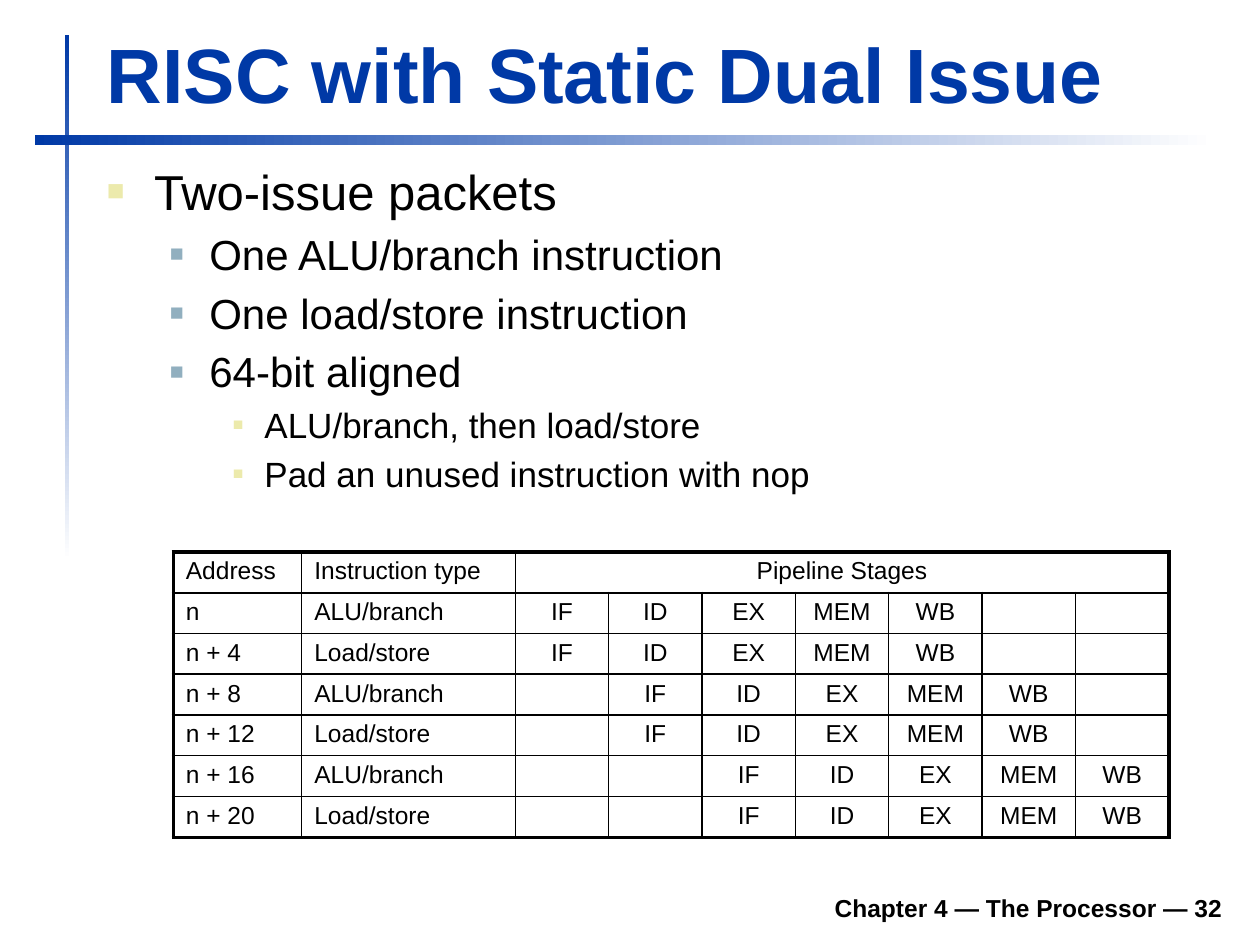
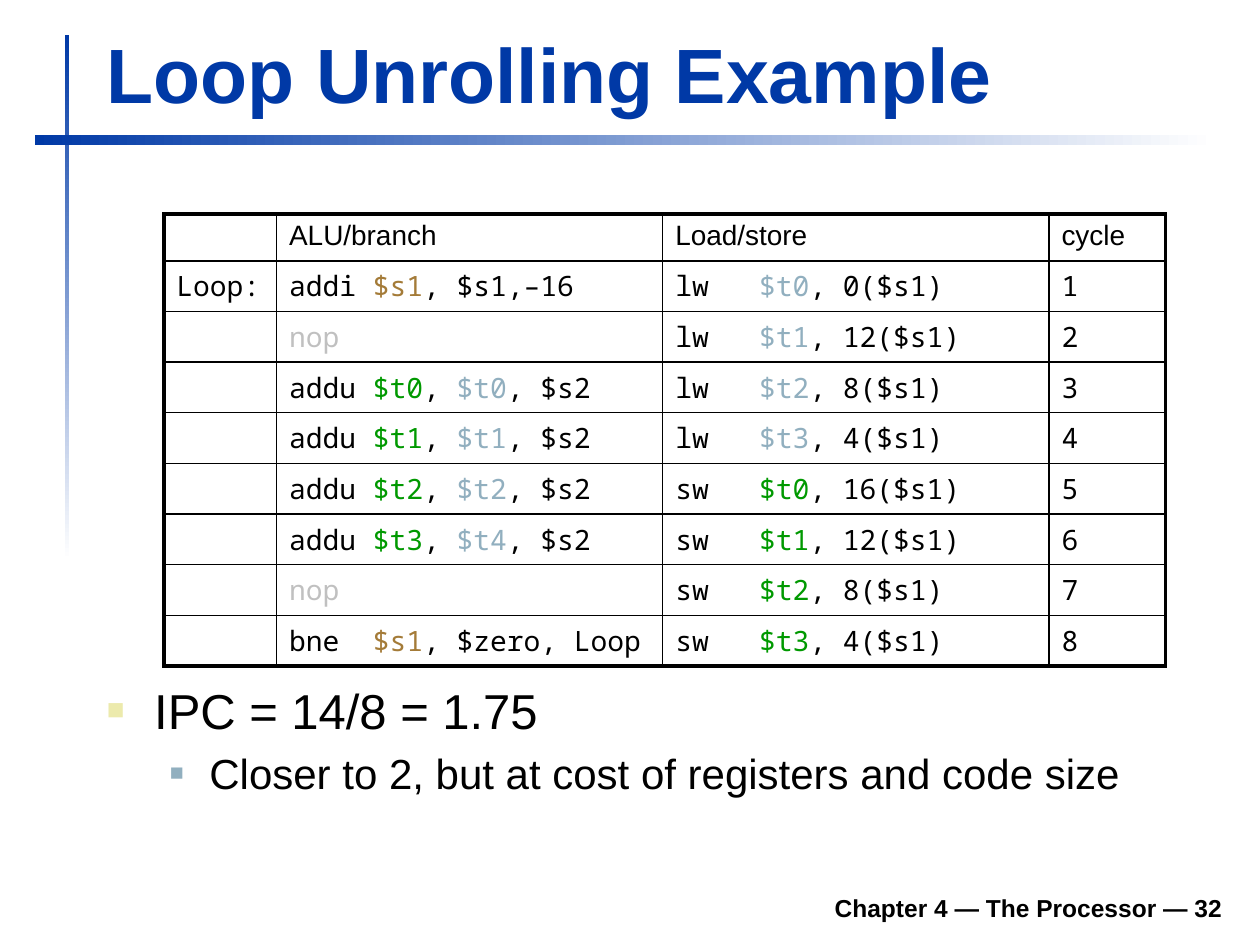
from dataclasses import dataclass
from lxml.etree import SubElement
from pptx import Presentation
from pptx.dml.color import RGBColor
from pptx.enum.shapes import MSO_SHAPE as SHAPE
from pptx.enum.text import MSO_ANCHOR as ANCHOR, PP_ALIGN as ALIGN
from pptx.oxml.ns import qn
from pptx.util import Inches, Pt


@dataclass(frozen=True)
class Theme:
    blue: str = "0039A6"
    white: str = "FFFFFF"
    ink: str = "000000"
    sand: str = "ECEAAC"
    steel: str = "91AFBF"
    green: str = "009900"
    ochre: str = "A47B38"
    grey: str = "C0C0C0"
    sans: str = "Arial"
    mono: str = "Noto Sans Mono"
    title: int = 44
    footer: int = 14
    outer: float = 2.25
    header: float = 1.5
    inner: float = 1


T = Theme()

# Content; a code part after "|" starts with the mark of its colour
MARKS = {"+": T.green, "<": T.steel, "!": T.ochre, "~": T.grey}
FOOTER = "Chapter 4 — The Processor — 32"
STAGES = ["IF", "ID", "EX", "MEM", "WB"]
STAGE_COUNT = 7

pipeline = [["Address", "Instruction type", "Pipeline Stages"] + [""] * (STAGE_COUNT - 1)]
for i in range(6):
    delay = i // 2
    pipeline.append(["n" if i == 0 else f"n + {4 * i}",
                     "Load/store" if i % 2 else "ALU/branch"]
                    + [""] * delay + STAGES + [""] * (STAGE_COUNT - 5 - delay))

unrolled = [
    ("addi |!$s1|, $s1,–16", "lw   |<$t0|, 0($s1)"),
    ("|~nop", "lw   |<$t1|, 12($s1)"),
    ("addu |+$t0|, |<$t0|, $s2", "lw   |<$t2|, 8($s1)"),
    ("addu |+$t1|, |<$t1|, $s2", "lw   |<$t3|, 4($s1)"),
    ("addu |+$t2|, |<$t2|, $s2", "sw   |+$t0|, 16($s1)"),
    ("addu |+$t3|, |<$t4|, $s2", "sw   |+$t1|, 12($s1)"),
    ("|~nop", "sw   |+$t2|, 8($s1)"),
    ("bne  |!$s1|, $zero, Loop", "sw   |+$t3|, 4($s1)"),
]
schedule = [["", "ALU/branch", "Load/store", "cycle"]] + [
    ["" if n > 1 else "Loop:", alu, mem, str(n)]
    for n, (alu, mem) in enumerate(unrolled, 1)]

SLIDES = [
    dict(title="RISC with Static Dual Issue", body_box=(7.5, 12.3, 90.5, 30.2),
         body=[(0, "Two-issue packets"),
               (1, "One ALU/branch instruction"),
               (1, "One load/store instruction"),
               (1, "64-bit aligned"),
               (2, "ALU/branch, then load/store"),
               (2, "Pad an unused instruction with nop")],
         table=dict(rows=pipeline, at=(13.75, 43.8), cols=[10.2, 16.95] + [7.41] * STAGE_COUNT,
                    heights=[3.19] * 7, size=14, font=T.sans, pad=0.45,
                    centred_from=2, merge=((0, 2), (0, 8)))),
    dict(title="Loop Unrolling Example", body_box=(7.5, 53.5, 90.5, 14.7),
         body=[(0, "IPC = 14/8 = 1.75"),
               (1, "Closer to 2, but at cost of registers and code size")],
         table=dict(rows=schedule, at=(13, 17), cols=[8.95, 30.65, 30.65, 9.25],
                    heights=[3.7] + [4.02] * 8, size=16, font=T.mono, pad=0.5,
                    centred_from=4, merge=None)),
]

# Outline levels: type size, indent, hanging part, bullet colour and percent
LEVELS = [(28, 3.75, 3.75, T.sand, 60), (24, 8.13, 3.13, T.steel, 55), (20, 12.5, 2.5, T.sand, 50)]

# Grid: 100 columns by 75 rows of square units
COLS, ROWS = 100, 75
UNIT = Inches(10) / COLS
VERTICAL_BAR, LEVEL_BAR = (5.15, 2.8, 0.36, 41.7), (2.75, 10.7, 93.7, 0.8)
TITLE_BOX, FOOTER_BOX = (7.5, 1.6, 90.3, 8.3), (18.5, 69.8, 79.5, 3.9)


def grid(*units):
    return [round(u * UNIT) for u in units]


def add(parent, tag, **attrs):
    return SubElement(parent, qn(tag), {k: str(v) for k, v in attrs.items()})


def add_color(parent, color):
    add(parent, "a:srgbClr", val=color)


def add_run(p, text, size, color=T.ink, font=T.sans, bold=False):
    r = p.add_run()
    r.text = text
    for name, value in dict(size=Pt(size), name=font, bold=bold).items():
        setattr(r.font, name, value)
    r.font.color.rgb = RGBColor.from_string(color)


def space_before(p):
    pPr = p._p.get_or_add_pPr()
    add(add(pPr, "a:spcBef"), "a:spcPct", val=20000)
    return pPr


def text_frame(s, box, anchor):
    tf = s.shapes.add_textbox(*grid(*box)).text_frame
    for name, value in dict(word_wrap=True, vertical_anchor=anchor).items():
        setattr(tf, name, value)
    return tf


def add_line(s, box, text, size, color, align):
    p = text_frame(s, box, ANCHOR.BOTTOM).paragraphs[0]
    p.alignment = align
    add_run(p, text, size, color, bold=True)


def add_bar(s, box, angle):
    sp = s.shapes.add_shape(SHAPE.RECTANGLE, *grid(*box))
    sp.shadow.inherit = False
    sp.line.fill.background()
    sp.fill.gradient()
    sp.fill.gradient_angle = angle
    for stop, color in zip(sp.fill.gradient_stops, (T.blue, T.white)):
        stop.color.rgb = RGBColor.from_string(color)


def add_frame(s, title):
    add_bar(s, VERTICAL_BAR, 270)
    add_bar(s, LEVEL_BAR, 0)
    add_line(s, FOOTER_BOX, FOOTER, T.footer, T.ink, ALIGN.RIGHT)
    add_line(s, TITLE_BOX, title, T.title, T.blue, ALIGN.LEFT)


def add_body(s, box, items):
    tf = text_frame(s, box, ANCHOR.TOP)
    for i, (level, text) in enumerate(items):
        p = tf.add_paragraph() if i else tf.paragraphs[0]
        size, indent, hang, color, percent = LEVELS[level]
        p.level = level
        pPr = space_before(p)
        left, first = grid(indent, -hang)
        pPr.set("marL", str(left))
        pPr.set("indent", str(first))
        add_color(add(pPr, "a:buClr"), color)
        add(pPr, "a:buSzPct", val=percent * 1000)
        add(pPr, "a:buFont", typeface=T.sans)
        add(pPr, "a:buChar", char="■")
        add_run(p, text, size)


def set_borders(cell, widths):
    tcPr = cell._tc.get_or_add_tcPr()
    for i, (side, width) in enumerate(widths.items()):
        ln = add(tcPr, f"a:ln{side}", w=Pt(width))
        add_color(add(ln, "a:solidFill"), T.ink)
        tcPr.insert(i, ln)


def fill_cell(cell, text, size, font, align):
    p = cell.text_frame.paragraphs[0]
    p.alignment = align
    space_before(p)
    for i, part in enumerate(text.split("|")):
        if not part:
            continue
        marked = i > 0 and part[0] in MARKS
        add_run(p, part[1:] if marked else part, size,
                MARKS[part[0]] if marked else T.ink, font)
    if not text:
        add(p._p, "a:endParaRPr", sz=size * 100)


def add_grid_table(s, rows, at, cols, heights, size, font, pad, centred_from, merge):
    box = grid(*at, sum(cols), sum(heights))
    tbl = s.shapes.add_table(len(rows), len(cols), *box).table
    tbl.first_row = tbl.horz_banding = False
    for column, width in zip(tbl.columns, grid(*cols)):
        column.width = width
    for row, height in zip(tbl.rows, grid(*heights)):
        row.height = height
    if merge:
        tbl.cell(*merge[0]).merge(tbl.cell(*merge[1]))
    side, edge = grid(1, pad)
    margins = dict(margin_left=side, margin_right=side, margin_top=edge, margin_bottom=edge)
    for y, row in enumerate(rows):
        for x, text in enumerate(row):
            cell = tbl.cell(y, x)
            for name, value in margins.items():
                setattr(cell, name, value)
            cell.fill.background()
            fill_cell(cell, text, size, font if y else T.sans,
                      ALIGN.CENTER if x >= centred_from else ALIGN.LEFT)
            last_x = x + (cell.span_width if cell.is_merge_origin else 1) == len(cols)
            set_borders(cell, dict(
                L=T.inner if x else T.outer,
                R=T.outer if last_x else T.inner,
                T={0: T.outer, 1: T.header}.get(y, T.inner),
                B={0: T.header, len(rows) - 1: T.outer}.get(y, T.inner)))


# Build the slides
prs = Presentation()
prs.slide_width, prs.slide_height = grid(COLS, ROWS)
for content in SLIDES:
    s = prs.slides.add_slide(prs.slide_layouts[6])
    add_frame(s, content["title"])
    add_body(s, content["body_box"], content["body"])
    add_grid_table(s, **content["table"])
prs.save("out.pptx")
